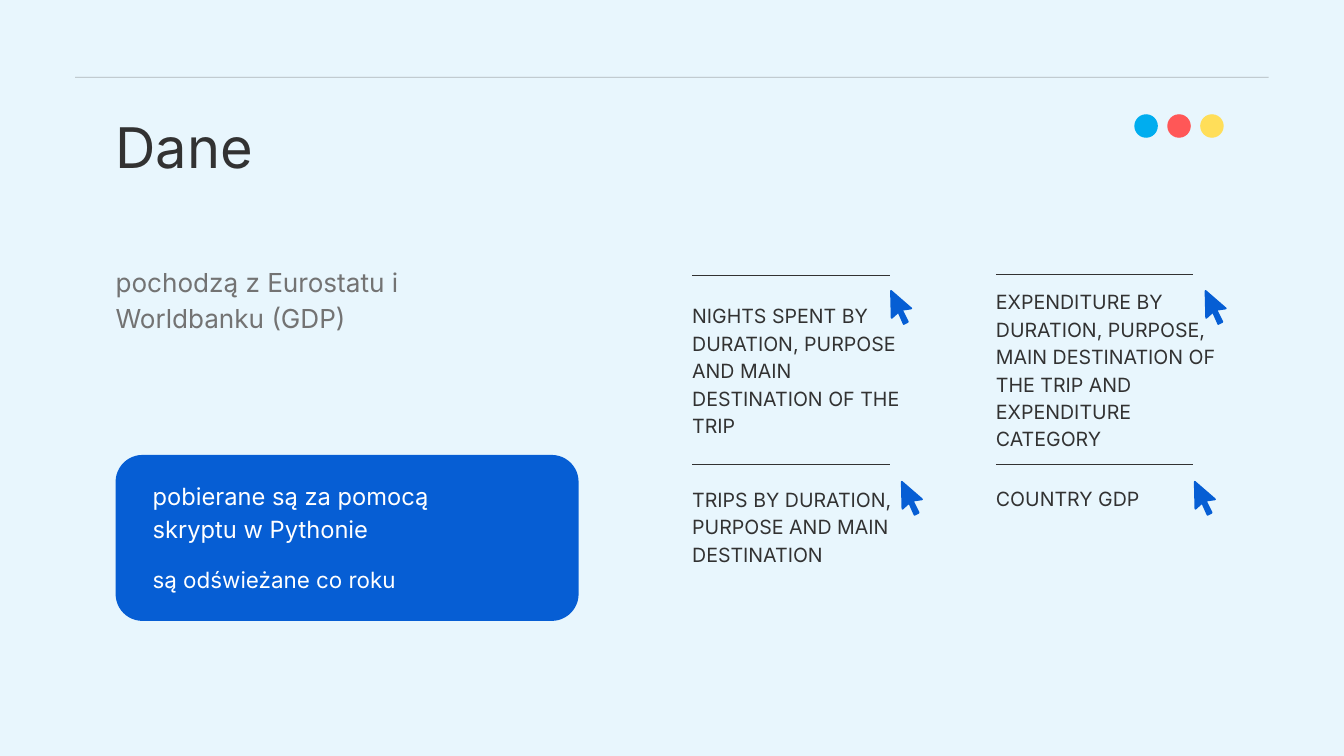
import pptx
import pptx.dml.color
import pptx.enum.shapes
import pptx.oxml
import pptx.oxml.ns
import pptx.util
from pptx.util import Inches

RGBColor = pptx.dml.color.RGBColor
SKY = RGBColor(0xE8, 0xF6, 0xFD)
BLUE = RGBColor(0x06, 0x5E, 0xD4)
INK = RGBColor(0x32, 0x32, 0x32)
GRAY = RGBColor(0x73, 0x73, 0x73)
WHITE = RGBColor(0xFF, 0xFF, 0xFF)
CYAN = RGBColor(0x00, 0xAD, 0xEF)
RED = RGBColor(0xFF, 0x57, 0x57)
YELLOW = RGBColor(0xFF, 0xDE, 0x59)

CURSOR = [(0, 0), (0.3, 0.26), (0.16, 0.28), (0.25, 0.46),
          (0.19, 0.49), (0.11, 0.31), (0.01, 0.4)]


class SlideBuilder:
    font_name = "Inter"

    def __init__(self, slide):
        self.slide = slide
        slide.background.fill.solid()
        slide.background.fill.fore_color.rgb = SKY

    def paint(self, shape, color):
        shape.shadow.inherit = False
        shape.fill.solid()
        shape.fill.fore_color.rgb = color
        shape.line.fill.background()

    def text(self, left, top, width, height, wording, size, spacing, color):
        box = self.slide.shapes.add_textbox(
            Inches(left), Inches(top), Inches(width), Inches(height))
        frame = box.text_frame
        frame.word_wrap = True
        frame.margin_left = frame.margin_right = 0
        frame.margin_top = frame.margin_bottom = 0
        paragraph = frame.paragraphs[0]
        paragraph.text = wording
        paragraph.line_spacing = pptx.util.Pt(spacing)
        paragraph.font.name = self.font_name
        paragraph.font.size = pptx.util.Pt(size)
        paragraph.font.color.rgb = color

    def rule(self, left, top, width, color, opacity=100):
        line = self.slide.shapes.add_connector(
            pptx.enum.shapes.MSO_CONNECTOR.STRAIGHT,
            Inches(left), Inches(top), Inches(left + width), Inches(top))
        line.line.width = pptx.util.Pt(0.75)
        line.line.color.rgb = color
        properties = line._element.spPr
        if opacity < 100:
            rgb = properties.find(".//" + pptx.oxml.ns.qn("a:srgbClr"))
            alpha = pptx.oxml.ns.qn("a:alpha")
            rgb.append(rgb.makeelement(alpha, {"val": str(opacity * 1000)}))
        effects = pptx.oxml.ns.qn("a:effectLst")
        properties.append(properties.makeelement(effects, {}))

    def rounded_panel(self, left, top, width, height, radius, color):
        shape = self.slide.shapes.add_shape(
            pptx.enum.shapes.MSO_SHAPE.ROUNDED_RECTANGLE,
            Inches(left), Inches(top), Inches(width), Inches(height))
        shape.adjustments[0] = radius / min(width, height)
        self.paint(shape, color)

    def dot(self, left, top, diameter, color):
        shape = self.slide.shapes.add_shape(
            pptx.enum.shapes.MSO_SHAPE.OVAL,
            Inches(left), Inches(top), Inches(diameter), Inches(diameter))
        self.paint(shape, color)

    def cursor(self, left, top):
        points = [(Inches(left + x), Inches(top + y)) for x, y in CURSOR]
        builder = self.slide.shapes.build_freeform(*points[0])
        builder.add_line_segments(points[1:], close=True)
        shape = builder.convert_to_shape()
        self.paint(shape, BLUE)
        shape.line.color.rgb = BLUE
        shape.line.width = pptx.util.Pt(2)
        outline = shape.line._get_or_add_ln()
        outline.append(outline.makeelement(pptx.oxml.ns.qn("a:round"), {}))

    def dataset(self, left, rule_top, text_top, height, wording, cursor_left, cursor_top):
        self.rule(left, rule_top, 2.94, INK)
        self.cursor(cursor_left, cursor_top)
        self.text(left, text_top, 3.38, height, wording, 21, 29.4, INK)


def main():
    presentation = pptx.Presentation()
    presentation.slide_width = Inches(20)
    presentation.slide_height = Inches(11.25)
    builder = SlideBuilder(presentation.slides.add_slide(presentation.slide_layouts[6]))

    builder.rounded_panel(1.72, 6.77, 6.89, 2.47, 0.4, BLUE)
    builder.text(2.27, 7.1, 4.52, 0.97,
                 "pobierane są za pomocą skryptu w Pythonie", 25.4, 35.6, WHITE)
    builder.text(2.27, 8.36, 5.62, 0.44, "są odświeżane co roku", 24, 33.6, WHITE)
    builder.text(1.72, 1.74, 6.89, 0.95, "Dane", 60, 67.2, INK)
    builder.text(1.72, 3.88, 6.38, 1.08,
                 "pochodzą z Eurostatu i Worldbanku (GDP)", 28, 39.2, GRAY)

    left_column, right_column = 10.3, 14.82
    datasets = [
        (left_column, 4.1, 4.47, 2.02,
         "NIGHTS SPENT BY DURATION, PURPOSE AND MAIN DESTINATION OF THE TRIP", 13.26, 4.33),
        (right_column, 4.09, 4.26, 2.43,
         "EXPENDITURE BY DURATION, PURPOSE, MAIN DESTINATION OF THE TRIP "
         "AND EXPENDITURE CATEGORY", 17.94, 4.33),
        (left_column, 6.91, 7.2, 1.21,
         "TRIPS BY DURATION, PURPOSE AND MAIN DESTINATION", 13.42, 7.17),
        (right_column, 6.91, 7.19, 0.4, "COUNTRY GDP", 17.78, 7.17),
    ]
    for dataset in datasets:
        builder.dataset(*dataset)

    for index, color in enumerate((CYAN, RED, YELLOW)):
        builder.dot(16.88 + 0.49 * index, 1.7, 0.35, color)
    builder.rule(1.12, 1.15, 17.76, GRAY, opacity=50)

    presentation.save("out.pptx")


if __name__ == "__main__":
    main()
